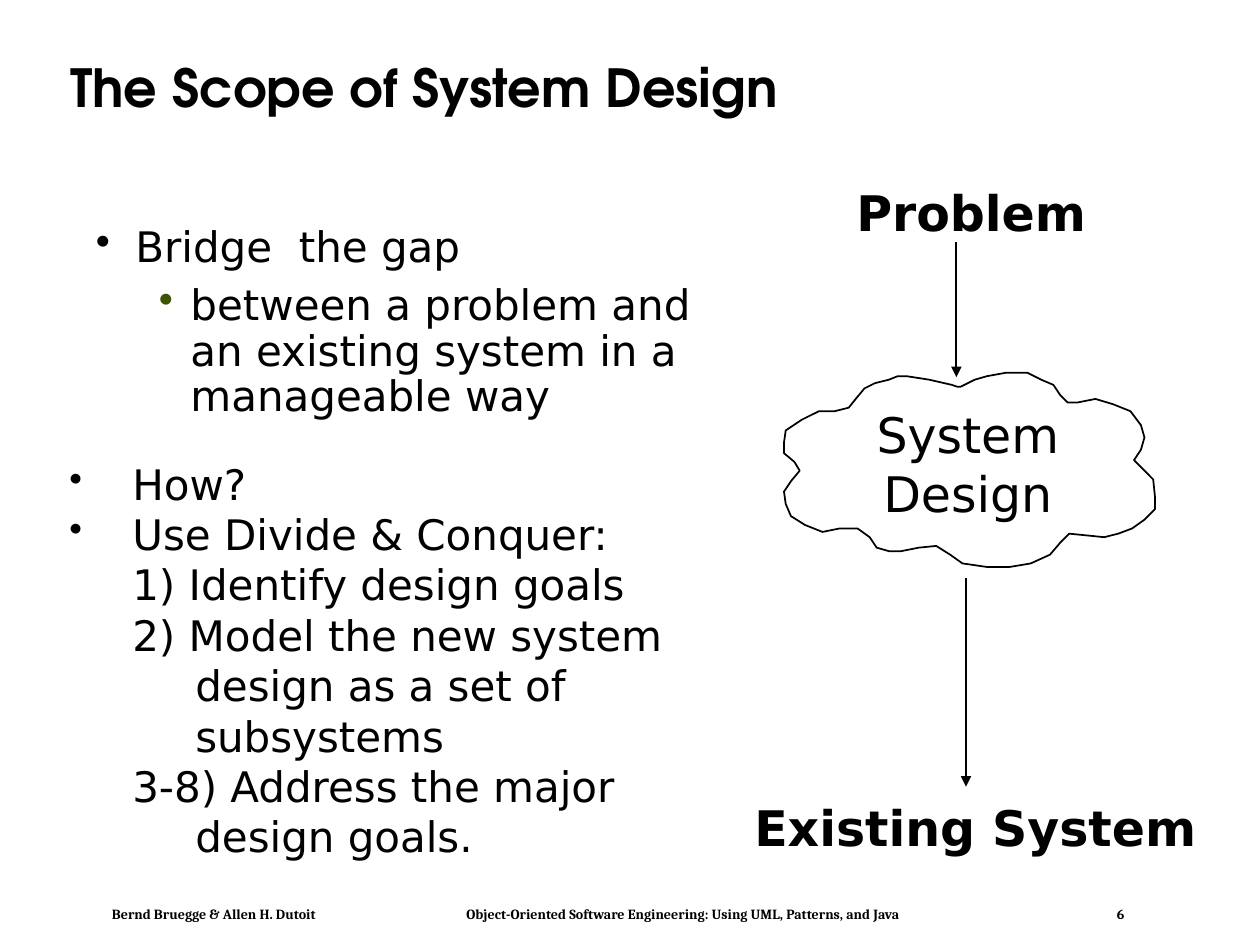
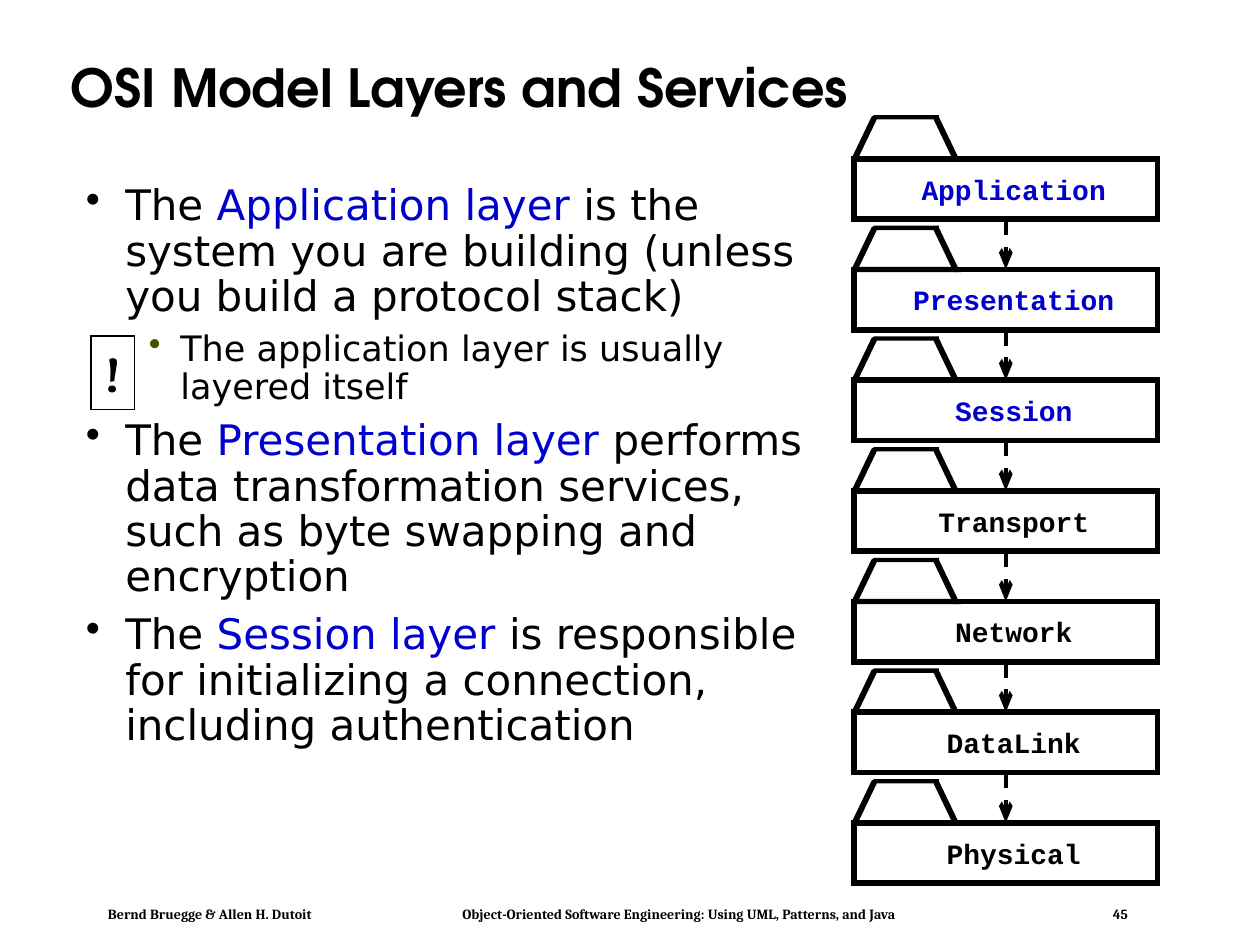
from dataclasses import dataclass
from itertools import pairwise

from lxml.etree import SubElement as Sub
from pptx import Presentation
from pptx.dml.color import RGBColor as Rgb
from pptx.enum.dml import MSO_LINE as Dash
from pptx.enum.shapes import MSO_CONNECTOR as Conn, MSO_SHAPE as Kind
from pptx.enum.text import MSO_ANCHOR as Anchor, PP_ALIGN as Align
from pptx.oxml.ns import qn
from pptx.util import Pt


@dataclass(frozen=True)
class Theme:
    ink: str = "000000"
    paper: str = "FFFFFF"
    blue: str = "0000CC"
    olive: str = "3D5500"
    head: str = "TeX Gyre Adventor"
    body: str = "DejaVu Sans"
    serif: str = "Cambria"
    code: str = "Courier New"
    title: int = 30
    big: int = 28
    main: int = 24
    sub: int = 20
    label: int = 16
    small: int = 8
    thin: float = 1
    dashed: float = 2.25
    thick: float = 3.25


THEME = Theme()

# Paragraph styles: indents, line pitch, gap before as a share of the size
POINT = dict(left=22.5, hang=-22.5, pitch=0.9, gap=0.3, mark=THEME.ink)
CHILD = dict(left=54, hang=-18, pitch=0.9, gap=0.3, mark=THEME.olive, level=1)
STEP = dict(left=36, hang=-36, mark=THEME.ink, scale=90)
ITEM = dict(left=72, hang=-36, level=1)
MID = dict(align=Align.CENTER)


def apply(thing, **vals):
    for name, val in vals.items():
        setattr(thing, name, val)


class Deck:
    def __init__(self, theme):
        self.theme = theme
        self.file = Presentation()
        apply(self.file, slide_width=Pt(720), slide_height=Pt(540))
        self.slide = None

    # Slide frame: title and footer
    def page(self, title, number):
        t = self.theme
        self.slide = self.file.slides.add_slide(self.file.slide_layouts[5])
        head = self.slide.shapes.title
        apply(head, left=Pt(33), top=Pt(17.5), width=Pt(642), height=Pt(68))
        self.frame(head.text_frame, anchor=Anchor.MIDDLE)
        self.para(head.text_frame.paragraphs[0], title, t.title, t.head, True,
                  pitch=0.9, align=Align.LEFT)

        # A longer number moves the whole footer left
        shift = 2.25 * (len(str(number)) - 1)
        for left, width, words in (
                (64, 150, "Bernd Bruegge & Allen H. Dutoit"),
                (266.5, 300, "Object-Oriented Software Engineering: "
                             "Using UML, Patterns, and Java"),
                (638.25, 30, str(number))):
            self.text((left - shift, 514.5, width, 15), [(words, {})],
                      t.small, t.serif, True, pads=(0, 3, 0, 3))

    # Text: a pair of bars in a string marks a blue part
    def frame(self, frame, pads=(7.2, 3.6, 7.2, 3.6), anchor=Anchor.TOP):
        sides = ("margin_left", "margin_top", "margin_right", "margin_bottom")
        apply(frame, word_wrap=True, vertical_anchor=anchor,
              **{side: Pt(pad) for side, pad in zip(sides, pads)})

    def para(self, para, words, size, font, bold=False, color=None, left=0, hang=0,
             pitch=1.0, gap=0, mark=None, scale=100, level=0, align=Align.LEFT):
        t = self.theme
        apply(para, alignment=align, level=level, line_spacing=pitch,
              space_before=Pt(size * gap))
        props = para._p.get_or_add_pPr()
        props.set("marL", str(Pt(left)))
        props.set("indent", str(Pt(hang)))
        if mark:
            Sub(Sub(props, qn("a:buClr")), qn("a:srgbClr"), val=mark)
            Sub(props, qn("a:buSzPct"), val=str(scale * 1000))
            Sub(props, qn("a:buChar"), char="•")
        for i, part in enumerate(words.split("|")):
            run = para.add_run()
            run.text = part
            apply(run.font, size=Pt(size), name=font, bold=bold)
            run.font.color.rgb = Rgb.from_string(t.blue if i % 2 else color or t.ink)

    def text(self, area, rows, size, font=None, bold=False, **look):
        box = self.slide.shapes.add_textbox(*map(Pt, area))
        self.frame(box.text_frame, **look)
        for i, (words, style) in enumerate(rows):
            para = box.text_frame.add_paragraph() if i else box.text_frame.paragraphs[0]
            style = dict(style)
            own = style.pop("size", size)
            self.para(para, words, own, font or self.theme.body, bold, **style)

    # Shapes and lines
    def line(self, shape, weight):
        shape.line.color.rgb = Rgb.from_string(self.theme.ink)
        shape.line.width = Pt(weight)
        return shape.element.spPr.find(qn("a:ln"))

    def rect(self, area, words, size, font, weight, color=None, **look):
        box = self.slide.shapes.add_shape(Kind.RECTANGLE, *map(Pt, area))
        box.shadow.inherit = False
        box.fill.background()
        Sub(self.line(box, weight), qn("a:miter"), lim="800000")
        self.frame(box.text_frame, anchor=Anchor.MIDDLE, **look)
        self.para(box.text_frame.paragraphs[0], words, size, font, True, color, **MID)
        return box

    def free(self, dots, fill, weight=None):
        first, *rest = [(Pt(x), Pt(y)) for x, y in dots]
        pen = self.slide.shapes.build_freeform(*first)
        pen.add_line_segments(rest, close=True)
        shape = pen.convert_to_shape()
        shape.shadow.inherit = False
        shape.fill.solid()
        shape.fill.fore_color.rgb = Rgb.from_string(fill)
        if weight:
            self.line(shape, weight)
        else:
            shape.line.fill.background()

    def arrow(self, ends, weight, tip, dash=None, reach="med"):
        link = self.slide.shapes.add_connector(Conn.STRAIGHT, *map(Pt, ends))
        stroke = self.line(link, weight)
        if dash:
            link.line.dash_style = dash
        Sub(stroke, qn("a:tailEnd"), type=tip, w="med", len=reach)
        Sub(link.element.spPr, qn("a:effectLst"))
        return link


CLOUD = [
    (531, 217), (544, 220), (547, 221), (549, 221), (557, 217), (564, 215),
    (575, 213), (587, 213), (595, 217), (602, 220), (606, 226), (610, 230),
    (616, 230), (626, 228), (636, 231), (646, 235), (652, 243), (654, 250),
    (652, 257), (648, 263), (654, 269), (659, 274), (660, 284), (660, 291),
    (654, 297), (647, 302), (639, 305), (631, 307), (621, 306), (611, 305),
    (606, 310), (600, 317), (589, 322), (577, 324), (564, 324), (550, 322),
    (543, 317), (535, 312), (525, 313), (515, 315), (508, 315), (501, 313),
    (497, 307), (490, 302), (480, 302), (470, 304), (460, 300), (452, 295),
    (449, 288), (448, 281), (452, 275), (457, 269), (454, 264), (448, 259),
    (448, 253), (449, 246), (458, 240), (468, 235), (477, 235), (485, 233),
    (489, 228), (494, 222), (500, 219), (508, 217), (513, 215), (518, 215),
]

# Folder tab: left, top, right and base bars, from the folder's top left corner
TAB = [
    [(-1.5, 0), (1.5, 1.5), (13, -22.5), (11.5, -25), (10, -24)],
    [(11.5, -25), (11.5, -22.5), (47, -22.5), (48.5, -24), (48.5, -25), (47, -25)],
    [(48.5, -24), (45.5, -22.5), (57, 1.5), (58.5, 1.5), (61.5, 1.5), (60, 0)],
    [(58.5, 1.5), (58.5, -1.5), (0, -1.5), (-1.5, 0), (-1.5, 1.5), (0, 1.5)],
]


def scope(deck):
    t = deck.theme
    deck.page("The Scope of System Design", 6)
    deck.text((47.75, 126, 358, 119), [
        ("Bridge  the gap", POINT),
        ("between a problem and an existing system in a manageable way", CHILD),
    ], t.main)

    # From problem to system
    deck.text((482.25, 100.5, 155, 40), [("Problem", {})], t.big, bold=True)
    deck.text((406.75, 452, 301, 40), [("Existing System", MID)], t.big, bold=True)
    deck.free(CLOUD, t.paper, t.thin)
    deck.text((493, 227.75, 120, 74), [("System", MID), ("Design", MID)], t.big)
    for x, top, end in ((546.5, 138.25, 215.5), (552, 330.5, 449.5)):
        deck.arrow((x, top, x, end), t.thin, "triangle")

    # Steps
    deck.text((32.5, 258.25, 367, 235), [
        ("How?", STEP),
        ("Use Divide & Conquer:", STEP),
        ("1) Identify design goals", ITEM),
        ("2) Model the new system design as a set of subsystems", ITEM),
        ("3-8) Address the major design goals.", ITEM),
    ], t.main)


def layers(deck):
    t = deck.theme
    deck.page("OSI Model Layers and Services", 45)
    deck.text((42, 102, 448, 378), [
        ("The |Application layer| is the system you are building "
         "(unless you build a protocol stack)", POINT),
        ("The application layer is usually layered itself", CHILD | dict(size=t.sub)),
        ("The |Presentation layer| performs data transformation services, "
         "such as byte swapping and encryption", POINT),
        ("The |Session layer| is responsible for initializing a connection, "
         "including authentication", POINT),
    ], t.main)

    # Stack of folders; the first three are the ones described
    names = ("Application", "Presentation", "Session", "Transport",
             "Network", "DataLink", "Physical")
    left, first, step = 488, 90.75, 63.25
    stack = []
    for i, name in enumerate(names):
        top = first + i * step
        stack.append(deck.rect((left, top, 173.5, 34.5), name, t.label, t.code, t.thick,
                               t.blue if i < 3 else t.ink, pads=(9, 0, 0, 0)))
        for bar in TAB:
            deck.free([(left + x, top + y) for x, y in bar], t.ink)
    for upper, lower in pairwise(stack):
        link = deck.arrow((0, 0, 0, 0), t.dashed, "arrow", Dash.DASH, "lg")
        link.begin_connect(upper, 2)
        link.end_connect(lower, 0)

    # Note mark
    deck.rect((52, 192, 25, 42), "!", t.big, t.serif, t.thin, pads=(0, 0, 0, 0))


def main():
    deck = Deck(THEME)
    scope(deck)
    layers(deck)
    deck.file.save("out.pptx")


if __name__ == "__main__":
    main()
